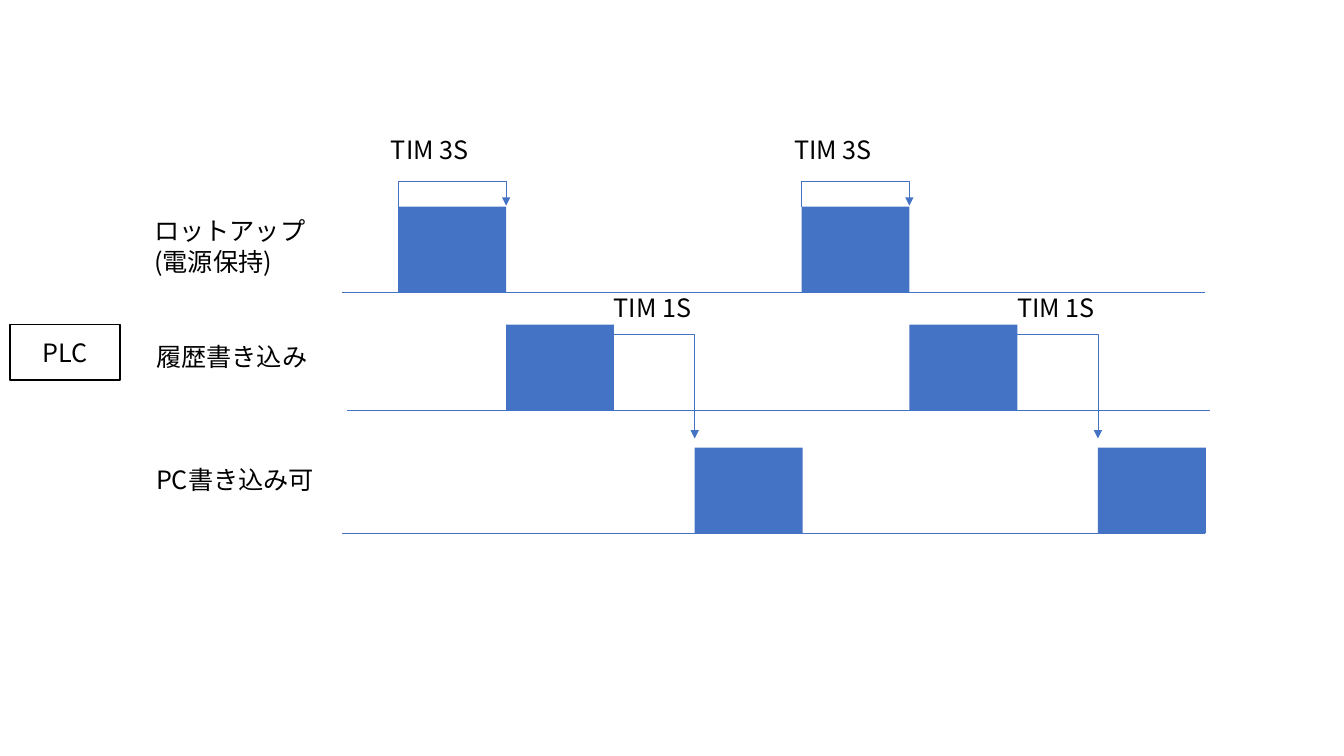
from lxml import etree
from pptx import Presentation
from pptx.dml.color import RGBColor
from pptx.enum.shapes import MSO_CONNECTOR, MSO_SHAPE
from pptx.enum.text import MSO_ANCHOR, MSO_AUTO_SIZE, PP_ALIGN
from pptx.oxml.ns import qn
from pptx.util import Inches, Pt

FONT = "Noto Sans CJK JP"
BLUE, BLACK, WHITE = "4472C4", "000000", "FFFFFF"
PULSE_W, PULSE_H = 1.07, 0.85
LABEL_W = 1.96
BASELINES = (2.9, 4.07, 5.29)  # lot-up, history write, PC write enabled


def color(hex_code):
    return RGBColor.from_string(hex_code)


def write(frame, lines, align=PP_ALIGN.LEFT):
    for i, line in enumerate(lines):
        paragraph = frame.paragraphs[0] if i == 0 else frame.add_paragraph()
        paragraph.alignment = align
        run = paragraph.add_run()
        run.text = line
        run.font.size = Pt(18)
        run.font.name = FONT
        run.font.color.rgb = color(BLACK)
        east_asian = etree.SubElement(run.font._element, qn("a:ea"))
        east_asian.set("typeface", FONT)


def add_label(slide, x, y, *lines):
    height = 0.4 if len(lines) == 1 else 0.71
    box = slide.shapes.add_textbox(Inches(x), Inches(y), Inches(LABEL_W), Inches(height))
    box.text_frame.word_wrap = True
    box.text_frame.auto_size = MSO_AUTO_SIZE.SHAPE_TO_FIT_TEXT
    write(box.text_frame, lines)


def add_box(slide, x, y, w, h, fill, outline=None):
    box = slide.shapes.add_shape(MSO_SHAPE.RECTANGLE, Inches(x), Inches(y), Inches(w), Inches(h))
    box.shadow.inherit = False
    box.fill.solid()
    box.fill.fore_color.rgb = color(fill)
    if outline:
        box.line.color.rgb = color(outline)
        box.line.width = Pt(1)
    else:
        box.line.fill.background()
    return box


def add_line(slide, start, end, kind=MSO_CONNECTOR.STRAIGHT, arrow=False):
    points = [Inches(value) for value in (*start, *end)]
    line = slide.shapes.add_connector(kind, *points)
    line.line.color.rgb = color(BLUE)
    line.line.width = Pt(0.5)
    if arrow:
        etree.SubElement(line.line._get_or_add_ln(), qn("a:tailEnd")).set("type", "triangle")
    etree.SubElement(line._element.spPr, qn("a:effectLst"))
    return line


def add_hold_arrow(slide, x, y, width, rise):
    """Up, across and down: a three-part elbow turned by 90 degrees."""
    depth = 0.01
    cx, cy = x + width / 2, y - depth / 2
    line = add_line(slide, (cx + depth / 2, cy + width / 2), (cx - depth / 2, cy - width / 2),
                    MSO_CONNECTOR.ELBOW, arrow=True)
    properties = line._element.spPr
    properties.find(qn("a:xfrm")).set("rot", "5400000")
    adjustments = properties.find(qn("a:prstGeom")).get_or_add_avLst()
    guide = etree.SubElement(adjustments, qn("a:gd"))
    guide.set("name", "adj1")
    guide.set("fmla", f"val {round(rise / depth * 100000)}")


def add_delay_arrow(slide, x, y, width, drop):
    """Across and down: a two-part elbow."""
    line = add_line(slide, (x, y), (x + width, y + drop), MSO_CONNECTOR.ELBOW, arrow=True)
    line._element.spPr.find(qn("a:prstGeom")).set("prst", "bentConnector2")


def add_controller(slide, x, y, w, h):
    box = add_box(slide, x, y, w, h, WHITE, BLACK)
    box.text_frame.vertical_anchor = MSO_ANCHOR.MIDDLE
    write(box.text_frame, ["PLC"], PP_ALIGN.CENTER)


def add_signal_rows(slide, x, w):
    for baseline, shift in zip(BASELINES, (0, 0.05, 0)):
        add_line(slide, (x + shift, baseline), (x + shift + w, baseline))
    add_label(slide, x - LABEL_W, 2.09, "ロットアップ", "(電源保持)")
    add_label(slide, x - 1.94, 3.34, "履歴書き込み")
    add_label(slide, x - 1.94, 4.56, "PC書き込み可")


def add_cycle(slide, x):
    """One run of the three signals, starting at x."""
    delay = 0.8
    write_start = x + PULSE_W
    write_end = write_start + PULSE_W
    lot_top, write_top, _ = tops = [baseline - PULSE_H for baseline in BASELINES]
    for left, top in zip((x, write_start, write_end + delay), tops):
        add_box(slide, left, top, PULSE_W, PULSE_H, BLUE)
    add_hold_arrow(slide, x, lot_top, PULSE_W, 0.25)
    add_label(slide, x - 0.17, 1.28, "TIM 3S")
    add_delay_arrow(slide, write_end, write_top + 0.1, delay, 1.03)
    add_label(slide, write_end - 0.1, 2.85, "TIM 1S")


prs = Presentation()
prs.slide_width, prs.slide_height = Inches(13.33), Inches(7.5)
slide = prs.slides.add_slide(prs.slide_layouts[6])

# Controller and signal axes
add_controller(slide, 0.1, 3.22, 1.09, 0.55)
add_signal_rows(slide, 3.39, 8.56)

# Two identical timing cycles
for cycle in range(2):
    add_cycle(slide, 3.95 + 4 * cycle)

prs.save("out.pptx")
